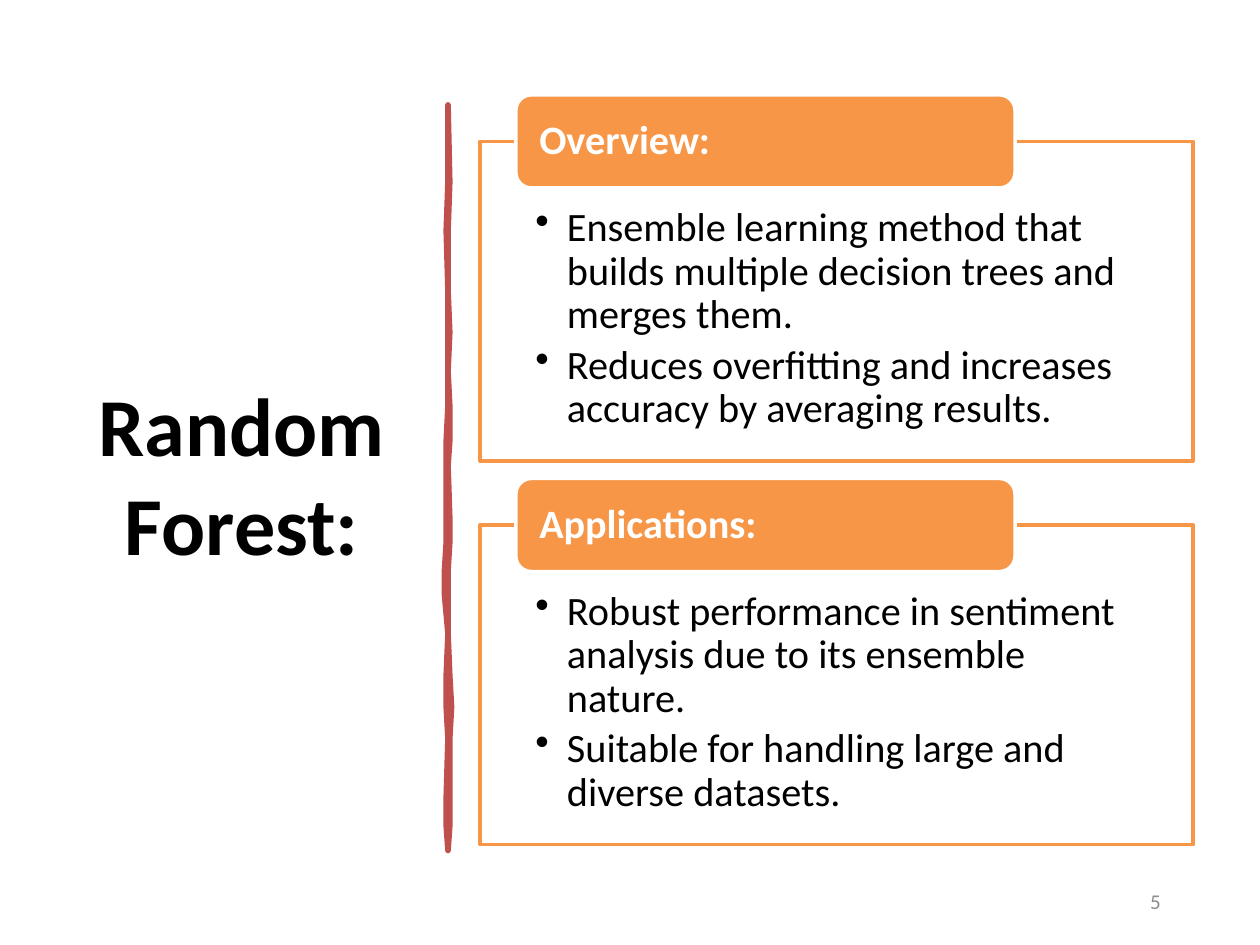
from dataclasses import dataclass

from lxml.etree import SubElement
from pptx import Presentation
from pptx.dml.color import RGBColor
from pptx.enum.shapes import MSO_SHAPE
from pptx.enum.text import MSO_ANCHOR, PP_ALIGN
from pptx.oxml.ns import qn
from pptx.util import Pt


@dataclass(frozen=True)
class Theme:
    font: str = "Calibri"
    black: RGBColor = RGBColor(0, 0, 0)
    white: RGBColor = RGBColor(255, 255, 255)
    orange: RGBColor = RGBColor(0xF7, 0x96, 0x46)
    red: RGBColor = RGBColor(0xC0, 0x50, 0x4D)
    gray: RGBColor = RGBColor(0x8C, 0x8C, 0x8C)
    title_size: float = 47
    body_size: float = 23
    number_size: float = 12


THEME = Theme()

PANELS = [
    ("Overview:", [
        "Ensemble learning method that builds multiple decision trees and merges them.",
        "Reduces overfitting and increases accuracy by averaging results.",
    ]),
    ("Applications:", [
        "Robust performance in sentiment analysis due to its ensemble nature.",
        "Suitable for handling large and diverse datasets.",
    ]),
]

# Brush edge: distance from the top, then left and right offset from the axis
BRUSH_EDGE = [
    (0, -0.4, 0.4), (44, 0, 1), (72, -0.6, 0.5), (105, 0.2, 0.2),
    (130, -0.4, 0.9), (152, -0.2, 0.3), (172, -0.3, 0.7), (192, -0.6, 1.3),
    (205, -0.9, 0.5), (235, -0.7, 1.3), (250, -0.9, 0.8), (265, -1.7, -0.2),
    (280, -1.7, 0), (302, -0.4, 0), (325, -0.7, 1.4), (343, -0.9, 2.1),
    (361, 0, 0.6), (395, -0.8, 1.2), (412, -0.6, 1.2), (426, -0.4, 0.4),
]


def add_run(paragraph, text, size, color, bold=False):
    run = paragraph.add_run()
    run.text = text
    run.font.name = THEME.font
    run.font.size = Pt(size)
    run.font.bold = bold
    run.font.color.rgb = color


def set_frame(shape, anchor, insets):
    frame = shape.text_frame
    frame.word_wrap = True
    frame.vertical_anchor = anchor
    (frame.margin_left, frame.margin_top,
     frame.margin_right, frame.margin_bottom) = map(Pt, insets)
    return frame


def style_shape(shape, fill, line, line_width):
    shape.shadow.inherit = False
    shape.fill.solid()
    shape.fill.fore_color.rgb = fill
    shape.line.color.rgb = line
    shape.line.width = Pt(line_width)


def add_label(slide, left, top, width, height, text, size, color, alignment, bold=False):
    box = slide.shapes.add_textbox(Pt(left), Pt(top), Pt(width), Pt(height))
    frame = set_frame(box, MSO_ANCHOR.MIDDLE, (7.2, 3.6, 7.2, 3.6))
    paragraph = frame.paragraphs[0]
    paragraph.alignment = alignment
    add_run(paragraph, text, size, color, bold)


def add_brush_divider(slide, axis, top):
    left_edge = [(axis + left, top + down) for down, left, _ in BRUSH_EDGE]
    right_edge = [(axis + right, top + down) for down, _, right in BRUSH_EDGE]
    start, *rest = right_edge + left_edge[::-1]
    builder = slide.shapes.build_freeform(*start, scale=Pt(1))
    builder.add_line_segments(rest, close=True)
    divider = builder.convert_to_shape()
    style_shape(divider, THEME.red, THEME.red, 3.25)
    SubElement(divider.line._get_or_add_ln(), qn("a:round"))


def add_bullet(paragraph, text):
    paragraph.level = 1
    paragraph.alignment = PP_ALIGN.LEFT
    paragraph.line_spacing = 0.9
    paragraph.space_after = Pt(4)
    properties = paragraph._p.get_or_add_pPr()
    properties.set("marL", str(Pt(18)))
    properties.set("indent", str(Pt(-18)))
    SubElement(properties, qn("a:buChar"), char="•")
    add_run(paragraph, text, THEME.body_size, THEME.black)


def add_panel(slide, left, top, width, height, heading, bullets):
    # Outlined body with bullets
    body = slide.shapes.add_shape(
        MSO_SHAPE.RECTANGLE, Pt(left), Pt(top), Pt(width), Pt(height))
    style_shape(body, THEME.white, THEME.orange, 2)
    color = body.fill._xPr.find(qn("a:solidFill"))[0]
    SubElement(color, qn("a:alpha"), val="90000")
    frame = set_frame(body, MSO_ANCHOR.TOP, (31.6, 37.5, 31.6, 13))
    for index, text in enumerate(bullets):
        add_bullet(frame.add_paragraph() if index else frame.paragraphs[0], text)

    # Heading tab, centred on the upper edge
    tab_height = 53.2
    tab = slide.shapes.add_shape(
        MSO_SHAPE.ROUNDED_RECTANGLE, Pt(left + 0.05 * width),
        Pt(top - tab_height / 2), Pt(0.7 * width), Pt(tab_height))
    style_shape(tab, THEME.orange, THEME.white, 2)
    paragraph = set_frame(tab, MSO_ANCHOR.MIDDLE, (10.8, 0, 10.8, 0)).paragraphs[0]
    paragraph.alignment = PP_ALIGN.LEFT
    paragraph.line_spacing = 0.9
    add_run(paragraph, heading, THEME.body_size, THEME.white, bold=True)


def add_panels(slide, left, top, width, height, pitch):
    for index, (heading, bullets) in enumerate(PANELS):
        add_panel(slide, left, top + index * pitch, width, height, heading, bullets)


def main():
    presentation = Presentation()
    presentation.slide_width = Pt(720)
    presentation.slide_height = Pt(540)
    slide = presentation.slides.add_slide(presentation.slide_layouts[6])

    # Title
    add_label(slide, 37.4, 50.4, 201.6, 440, "Random Forest:",
              THEME.title_size, THEME.black, PP_ALIGN.CENTER, bold=True)
    # Divider
    add_brush_divider(slide, 256, 60.5)
    # Slide number
    add_label(slide, 508.3, 500.4, 162, 28.8, "5",
              THEME.number_size, THEME.gray, PP_ALIGN.RIGHT)
    # Panels
    add_panels(slide, 274.4, 80.8, 407.5, 182.7, 219.2)

    presentation.save("out.pptx")


if __name__ == "__main__":
    main()
